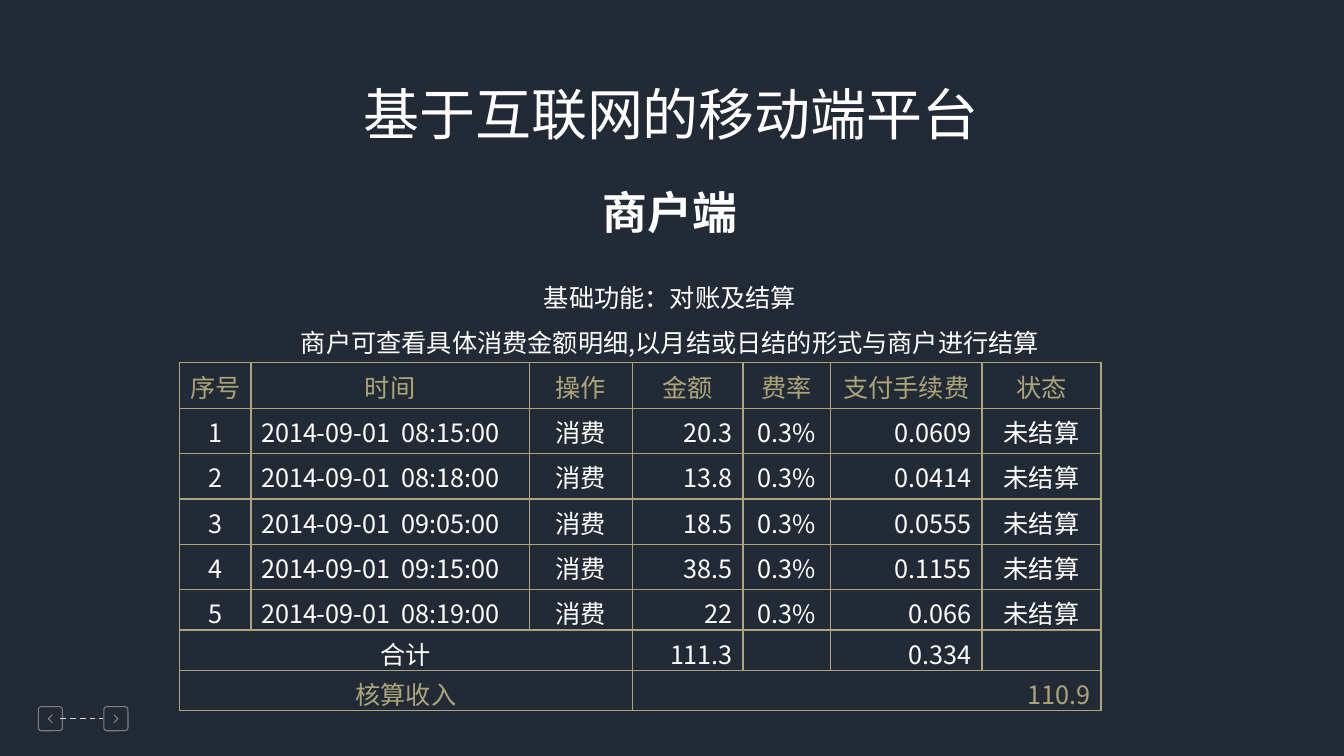
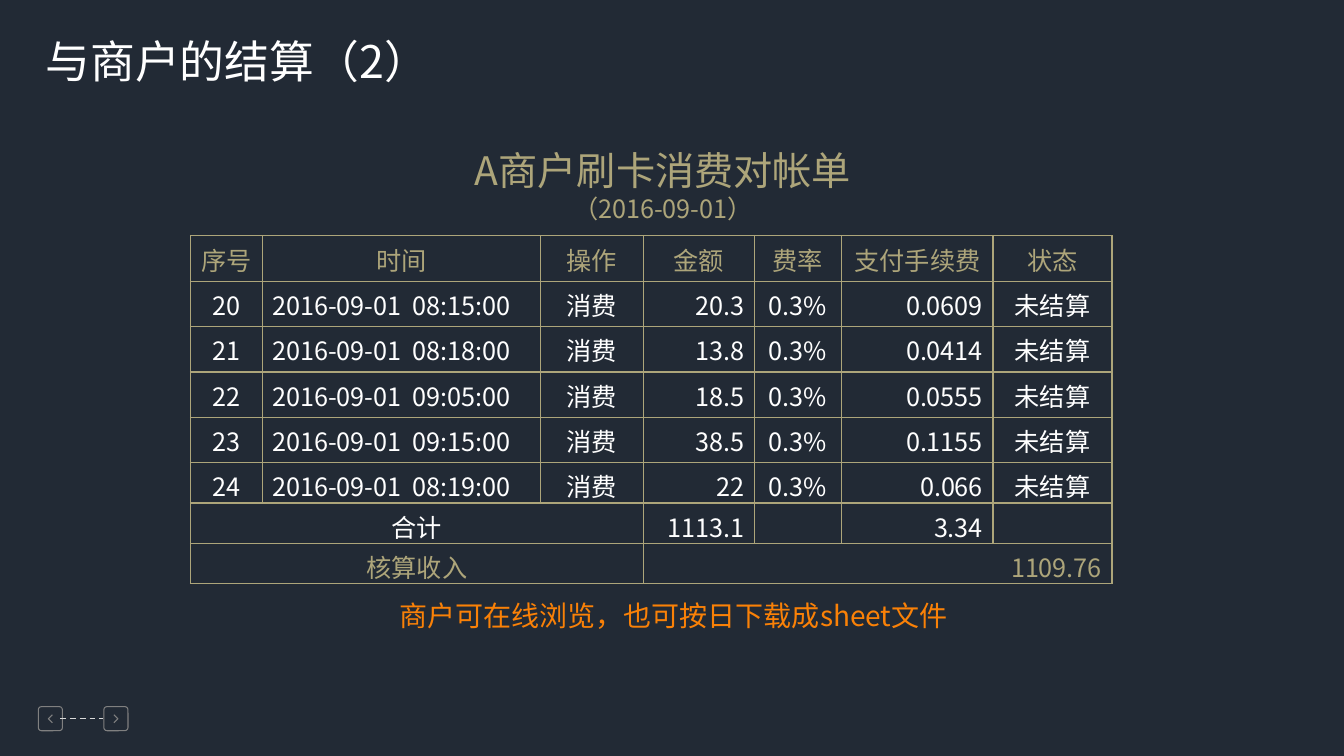
"""Build two dark slides with merchant settlement tables."""
import lxml.etree
import pptx
import pptx.dml.color
import pptx.enum.dml
import pptx.enum.shapes
import pptx.enum.text
import pptx.oxml.ns
import pptx.util

Inches = pptx.util.Inches
Pt = pptx.util.Pt
RGBColor = pptx.dml.color.RGBColor
ALIGN = pptx.enum.text.PP_ALIGN
SHAPE = pptx.enum.shapes.MSO_SHAPE
qn = pptx.oxml.ns.qn

NAVY = RGBColor(0x22, 0x2A, 0x35)
WHITE = RGBColor(0xFF, 0xFF, 0xFF)
GOLD = RGBColor(0xAD, 0xA5, 0x7A)
ORANGE = RGBColor(0xFA, 0x81, 0x07)
GRAY = RGBColor(0x80, 0x80, 0x80)
SILVER = RGBColor(0xD9, 0xD9, 0xD9)
SANS_SC = "Noto Sans CJK SC"
SANS_TC = "Noto Sans CJK TC"

HEADER = ("序号", "时间", "操作", "金额", "费率", "支付手续费", "状态")
PAYMENTS = [
    ("08:15:00", "20.3", "0.0609"),
    ("08:18:00", "13.8", "0.0414"),
    ("09:05:00", "18.5", "0.0555"),
    ("09:15:00", "38.5", "0.1155"),
    ("08:19:00", "22", "0.066"),
]
COLUMN_WIDTHS = (0.71, 2.76, 1.02, 1.1, 0.87, 1.5, 1.18)
COLUMN_ALIGNS = (ALIGN.CENTER, ALIGN.LEFT, ALIGN.CENTER, ALIGN.RIGHT,
                 ALIGN.CENTER, ALIGN.RIGHT, ALIGN.CENTER)
ROW_HEIGHTS = (0.45,) * 5 + (0.39,) * 3

PAGES = [
    {
        "title": ("基于互联网的移动端平台", 40, ALIGN.CENTER, (3.47, 0.74, 6.37, 0.77)),
        "boxes": [
            {"at": (5.88, 1.78, 3.54, 0.64), "bold": True,
             "lines": [("商户端", 32)]},
            {"at": (2.63, 2.6, 8.03, 1.0), "align": ALIGN.CENTER, "spacing": 1.5,
             "lines": [("基础功能：对账及结算", 18),
                       ("商户可查看具体消费金额明细,以月结或日结的形式与商户进行结算", 18)]},
        ],
        "table": {"at": (1.78, 3.6), "font": SANS_TC, "first": 1, "date": "2014-09-01",
                  "total": "111.3", "fees": "0.334", "income": "110.9"},
    },
    {
        "title": ("与商户的结算（2）", 32, ALIGN.LEFT, (0.35, 0.28, 8.66, 0.64)),
        "boxes": [
            {"at": (4.49, 1.4, 4.17, 0.88), "align": ALIGN.CENTER, "color": GOLD,
             "lines": [("A商户刷卡消费对帐单", 28), ("（2016-09-01）", 18)]},
            {"at": (3.86, 5.89, 5.67, 0.44), "color": ORANGE,
             "lines": [("商户可在线浏览，也可按日下载成sheet文件", 20)]},
        ],
        "table": {"at": (1.89, 2.34), "font": SANS_SC, "first": 20, "date": "2016-09-01",
                  "total": "1113.1", "fees": "3.34", "income": "1109.76"},
    },
]


def style(para, size, color=WHITE, align=ALIGN.LEFT, name=SANS_SC, bold=False):
    para.alignment = align
    font = para.font
    font.size, font.bold, font.name = Pt(size), bold, name
    font.color.rgb = color
    properties = para._p.find(".//" + qn("a:defRPr"))
    lxml.etree.SubElement(properties, qn("a:ea")).set("typeface", name)


def place(shape, at):
    shape.left, shape.top, shape.width, shape.height = map(Inches, at)


def add_title(page, text, size, align, at):
    title = page.shapes.title
    place(title, at)
    frame = title.text_frame
    frame.text = text
    frame.word_wrap = True
    frame.auto_size = pptx.enum.text.MSO_AUTO_SIZE.NONE
    frame.vertical_anchor = pptx.enum.text.MSO_ANCHOR.TOP
    style(frame.paragraphs[0], size, align=align)


def add_text(page, at, lines, spacing=1.0, **look):
    frame = page.shapes.add_textbox(*map(Inches, at)).text_frame
    frame.word_wrap = True
    frame.text = "\n".join(text for text, size in lines)
    for para, (text, size) in zip(frame.paragraphs, lines):
        para.line_spacing = spacing
        style(para, size, **look)


def add_borders(cell):
    properties = cell._tc.get_or_add_tcPr()
    for side in ("lnL", "lnR", "lnT", "lnB"):
        line = lxml.etree.SubElement(properties, qn("a:" + side), w=str(Pt(1)))
        fill = lxml.etree.SubElement(line, qn("a:solidFill"))
        lxml.etree.SubElement(fill, qn("a:srgbClr"), val=str(GOLD))


def add_settlement(page, at, font, first, date, total, fees, income):
    rows = [HEADER]
    for number, (time, amount, fee) in enumerate(PAYMENTS, first):
        rows.append((str(number), f"{date}  {time}", "消费", amount, "0.3%", fee, "未结算"))
    rows.append(("合计", "", "", total, "", fees, ""))
    rows.append(("核算收入", "", "", income, "", "", ""))
    size = (sum(COLUMN_WIDTHS), sum(ROW_HEIGHTS))
    table = page.shapes.add_table(len(rows), len(HEADER), *map(Inches, at + size)).table
    table.first_row = table.horz_banding = False
    for column, width in zip(table.columns, COLUMN_WIDTHS):
        column.width = Inches(width)
    last = len(rows) - 1
    for r, values in enumerate(rows):
        table.rows[r].height = Inches(ROW_HEIGHTS[r])
        color = GOLD if r in (0, last) else WHITE
        for c, value in enumerate(values):
            cell = table.cell(r, c)
            cell.margin_top = cell.margin_bottom = Inches(0.05)
            add_borders(cell)
            cell.fill.background()
            cell.text = value
            centred = r == 0 or (r >= last - 1 and c == 0)
            align = ALIGN.CENTER if centred else COLUMN_ALIGNS[c]
            style(cell.text_frame.paragraphs[0], 18, color, align, font)
    for r in (last - 1, last):
        table.cell(r, 0).merge(table.cell(r, 2))
    table.cell(last, 3).merge(table.cell(last, 6))


def outline(shape):
    shape.shadow.inherit = False
    shape.fill.background()
    shape.line.color.rgb = GRAY
    shape.line.width = Pt(0.75)


def add_navigation(page, layout):
    """Draw the page arrows and move them to the shared layout."""
    middle, side, reach = 7.13, 0.24, 0.04
    parts = []
    for left, direction in ((0.38, -1), (1.03, 1)):
        frame = page.shapes.add_shape(SHAPE.ROUNDED_RECTANGLE, 0, 0, 0, 0)
        place(frame, (left, middle - side / 2, side, side))
        frame.adjustments[0] = 0.14
        center = left + side / 2
        tail = center - direction * reach / 2
        tip = center + direction * reach / 2
        builder = page.shapes.build_freeform(Inches(tail), Inches(middle - reach))
        builder.add_line_segments([(Inches(tip), Inches(middle)),
                                   (Inches(tail), Inches(middle + reach))], close=False)
        arrow = builder.convert_to_shape()
        for shape in (frame, arrow):
            outline(shape)
            parts.append(shape)
    dashes = page.shapes.add_connector(pptx.enum.shapes.MSO_CONNECTOR.STRAIGHT,
                                       *map(Inches, (0.6, middle, 1.02, middle)))
    dashes.line.color.rgb = SILVER
    dashes.line.width = Pt(1)
    dashes.line.dash_style = pptx.enum.dml.MSO_LINE.DASH
    lxml.etree.SubElement(dashes._element.spPr, qn("a:effectLst"))
    parts.append(dashes)
    for part in parts:
        layout.shapes.element.append(part._element)


def main():
    deck = pptx.Presentation()
    deck.slide_width, deck.slide_height = Inches(13.33), Inches(7.5)
    backdrop = deck.slide_master.background.fill
    backdrop.solid()
    backdrop.fore_color.rgb = NAVY
    layout = deck.slide_layouts[5]
    for number, content in enumerate(PAGES):
        page = deck.slides.add_slide(layout)
        if number == 0:
            add_navigation(page, layout)
        add_title(page, *content["title"])
        for box in content["boxes"]:
            add_text(page, **box)
        add_settlement(page, **content["table"])
    deck.save("out.pptx")


if __name__ == "__main__":
    main()
